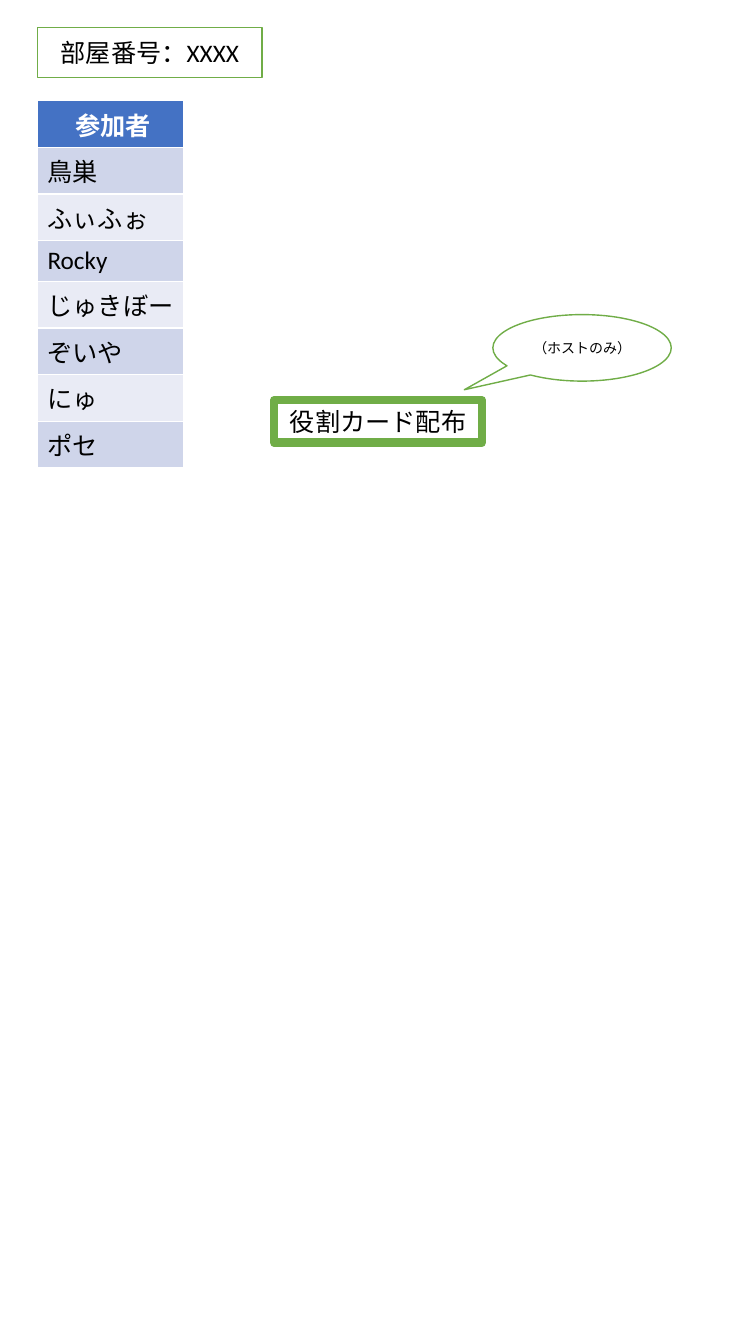
"""Build the game room slide: room number, players and the host's card button."""
from dataclasses import dataclass

from pptx import Presentation
from pptx.dml.color import RGBColor
from pptx.enum.shapes import MSO_SHAPE
from pptx.enum.text import MSO_ANCHOR, PP_ALIGN
from pptx.util import Inches, Pt

RECT = MSO_SHAPE.RECTANGLE
BUBBLE = MSO_SHAPE.OVAL_CALLOUT
MIDDLE = MSO_ANCHOR.MIDDLE
CENTER = PP_ALIGN.CENTER
LEFT = PP_ALIGN.LEFT


@dataclass(frozen=True)
class Theme:
    """Colours, font and type sizes."""
    font: str = "Calibri"
    body: int = 18
    note: int = 10
    ink: RGBColor = RGBColor(0, 0, 0)
    paper: RGBColor = RGBColor(255, 255, 255)
    green: RGBColor = RGBColor.from_string("70AD47")
    head: RGBColor = RGBColor.from_string("4472C4")
    bands: tuple = (RGBColor.from_string("E9EBF5"), RGBColor.from_string("CFD5EA"))


theme = Theme()
deck = Presentation()
deck.slide_width, deck.slide_height = Inches(7.5), Inches(13.33)
slide = deck.slides.add_slide(deck.slide_layouts[6])


def place(left, top, width, height):
    """Turn percentages of the slide into lengths."""
    across, down = deck.slide_width / 100, deck.slide_height / 100
    return [round(n) for n in (left * across, top * down, width * across, height * down)]


def write(frame, text, size, color, align, bold=False):
    """Put one styled paragraph into a text frame."""
    para = frame.paragraphs[0]
    para.text = text
    para.alignment = align
    font = para.font
    font.name, font.size, font.bold = theme.font, Pt(size), bold
    font.color.rgb = color


players = ["鳥巣", "ふぃふぉ", "Rocky", "じゅきぼー", "ぞいや", "にゅ", "ポセ"]
rows = ["参加者"] + players
margin, row = 4.95, 2.25
table = slide.shapes.add_table(
    len(rows), 1, *place(margin, 7.5, 19.35, row * len(rows))).table
for i, name in enumerate(rows):
    cell = table.cell(i, 0)
    top = i == 0
    cell.margin_right = Inches(0.05)
    cell.fill.solid()
    cell.fill.fore_color.rgb = theme.head if top else theme.bands[i % 2]
    write(cell.text_frame, name, theme.body, theme.paper if top else theme.ink,
          CENTER if top else LEFT, top)

boxes = [
    (RECT, (margin, 2.03, 29.73, 3.75), 1, "部屋番号：XXXX", theme.body, ()),
    (RECT, (36.27, 29.78, 27.47, 3.15), 6, "役割カード配布", theme.body, ()),
    (BUBBLE, (65.2, 23.41, 23.6, 4.95), 1, "（ホストのみ）", theme.note, (-0.66, 0.63)),
]
for kind, area, line, text, size, tail in boxes:
    box = slide.shapes.add_shape(kind, *place(*area))
    for i, share in enumerate(tail):
        box.adjustments[i] = share
    box.shadow.inherit = False
    box.fill.solid()
    box.fill.fore_color.rgb = theme.paper
    box.line.color.rgb = theme.green
    box.line.width = Pt(line)
    box.text_frame.word_wrap = True
    box.text_frame.vertical_anchor = MIDDLE
    write(box.text_frame, text, size, theme.ink, CENTER)

deck.save("out.pptx")
